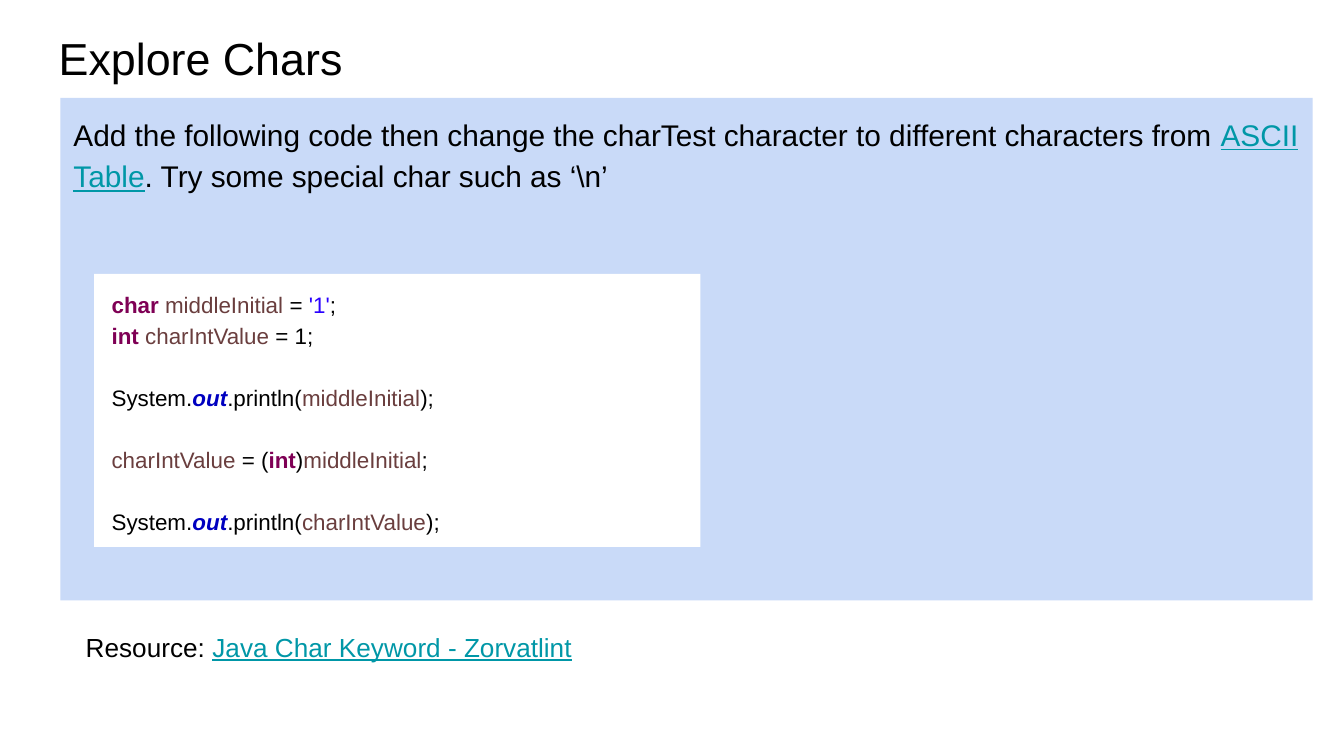
from dataclasses import dataclass
from typing import NamedTuple, Optional

from pptx import Presentation
from pptx.dml.color import RGBColor
from pptx.enum.text import MSO_ANCHOR as Anchor, PP_ALIGN as Align
from pptx.util import Cm, Pt


@dataclass(frozen=True)
class Theme:
    font: str = "Arial"
    ink: str = "000000"
    link: str = "0097A7"
    panel: str = "C9DAF8"
    paper: str = "FFFFFF"
    keyword: str = "7F0055"
    variable: str = "6A3E3E"
    literal: str = "2A00FF"
    field: str = "0000C0"
    title_size: float = 24
    body_size: float = 16
    resource_size: float = 14
    code_size: float = 12


THEME = Theme()


class Span(NamedTuple):
    text: str
    color: str = THEME.ink
    bold: bool = False
    italic: bool = False
    underline: bool = False


class Line(NamedTuple):
    spans: list[Span]
    before: float = 0


class Box(NamedTuple):
    left: float
    top: float
    width: float
    height: float


def keyword(text: str) -> Span:
    return Span(text, THEME.keyword, bold=True)


def variable(text: str) -> Span:
    return Span(text, THEME.variable)


def link(text: str) -> Span:
    return Span(text, THEME.link, underline=True)


def print_call(name: str) -> list[Span]:
    return [Span("System."), Span("out", THEME.field, bold=True, italic=True),
            Span(".println("), variable(name), Span(");")]


def add_text(slide, box: Box, lines: list[Line], *, size: float,
             fill: Optional[str] = None, line_spacing: float = 1.0,
             left_inset: float = 0.25, anchor: Anchor = Anchor.TOP) -> None:
    shape = slide.shapes.add_textbox(*(Cm(length) for length in box))
    if fill:
        shape.fill.solid()
        shape.fill.fore_color.rgb = RGBColor.from_string(fill)
    frame = shape.text_frame
    frame.word_wrap = True
    frame.vertical_anchor = anchor
    frame.margin_left = Cm(left_inset)
    frame.margin_top = frame.margin_right = frame.margin_bottom = Cm(0.25)
    for index, line in enumerate(lines):
        paragraph = frame.add_paragraph() if index else frame.paragraphs[0]
        paragraph.alignment = Align.LEFT
        paragraph.line_spacing = line_spacing
        paragraph.space_before = Pt(line.before)
        for span in line.spans:
            run = paragraph.add_run()
            run.text = span.text
            font = run.font
            font.name, font.size = THEME.font, Pt(size)
            font.bold, font.italic = span.bold, span.italic
            font.underline = span.underline
            font.color.rgb = RGBColor.from_string(span.color)


def build() -> None:
    presentation = Presentation()
    presentation.slide_width, presentation.slide_height = Cm(25.4), Cm(14.29)
    slide = presentation.slides.add_slide(presentation.slide_layouts[6])

    # Title
    add_text(slide, Box(0.86, 0.28, 23.67, 1.6), [Line([Span("Explore Chars")])],
             size=THEME.title_size, anchor=Anchor.MIDDLE)

    # Task panel
    task = [Span("Add the following code then change the charTest character "
                 "to different characters from "),
            link("ASCII Table"), Span(". Try some special char such as ‘\\n’")]
    add_text(slide, Box(1.14, 1.85, 23.67, 9.5), [Line(task)],
             size=THEME.body_size, fill=THEME.panel, line_spacing=1.15)

    # Resource line
    add_text(slide, Box(1.37, 11.68, 13.72, 1.12),
             [Line([Span("Resource: "), link("Java Char Keyword - Zorvatlint")])],
             size=THEME.resource_size)

    # Code listing, with one line of space between its groups
    gap = 16.6
    code = [
        Line([keyword("char"), Span(" "), variable("middleInitial"), Span(" = "),
              Span("'1'", THEME.literal), Span(";")]),
        Line([keyword("int"), Span(" "), variable("charIntValue"), Span(" = 1;")]),
        Line(print_call("middleInitial"), gap),
        Line([variable("charIntValue"), Span(" = ("), keyword("int"), Span(")"),
              variable("middleInitial"), Span(";")], gap),
        Line(print_call("charIntValue"), gap),
    ]
    add_text(slide, Box(1.78, 5.18, 11.46, 5.16), code, size=THEME.code_size,
             fill=THEME.paper, line_spacing=1.15, left_inset=0.33)

    presentation.save("out.pptx")


if __name__ == "__main__":
    build()
